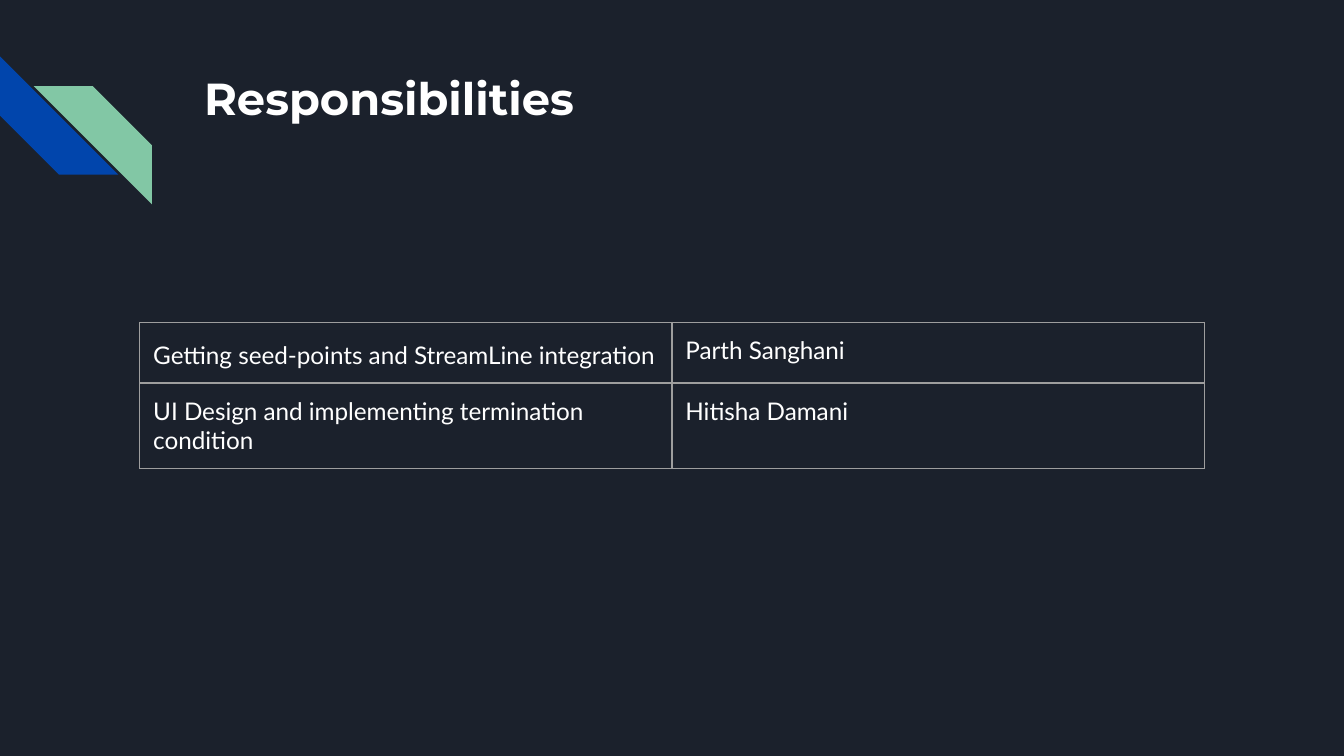
import pptx
import pptx.dml.color
import pptx.enum.shapes
import pptx.enum.text
import pptx.oxml
import pptx.oxml.ns
import pptx.util
from pptx.util import Inches

COLORS = {
    "background": "1B212C",
    "blue": "0145AC",
    "green": "82C7A5",
    "text": "FFFFFF",
    "border": "9E9E9E",
}
DUTIES = [
    ("Getting seed-points and StreamLine integration", "Parth Sanghani"),
    ("UI Design and implementing termination condition", "Hitisha Damani"),
]


def rgb(name):
    return pptx.dml.color.RGBColor.from_string(COLORS[name])


def set_font(paragraph, family, size, bold=False):
    font = paragraph.font
    font.name = family
    font.size = pptx.util.Pt(size)
    font.bold = bold
    font.color.rgb = rgb("text")


def set_margins(holder):
    for side in ("left", "top", "right", "bottom"):
        setattr(holder, f"margin_{side}", Inches(0.1))


def add_emblem(slide, left, top):
    size = 0.88
    stripes = [(0, 0, 270, "blue"), (0.25, 0.22, 90, "green")]
    for dx, dy, rotation, color in stripes:
        stripe = slide.shapes.add_shape(
            pptx.enum.shapes.MSO_SHAPE.DIAGONAL_STRIPE,
            Inches(left + dx), Inches(top + dy), Inches(size), Inches(size))
        stripe.rotation = rotation
        stripe.shadow.inherit = False
        stripe.fill.solid()
        stripe.fill.fore_color.rgb = rgb(color)
        stripe.line.fill.background()


def add_title(slide, left, top, width, height):
    title = slide.shapes.add_textbox(
        Inches(left), Inches(top), Inches(width), Inches(height))
    frame = title.text_frame
    frame.word_wrap = True
    frame.vertical_anchor = pptx.enum.text.MSO_ANCHOR.TOP
    set_margins(frame)
    frame.text = "Responsibilities"
    set_font(frame.paragraphs[0], "Montserrat", 24, bold=True)


def add_borders(cell):
    properties = cell._tc.get_or_add_tcPr()
    for position, edge in enumerate(("lnL", "lnR", "lnT", "lnB")):
        properties.insert(position, pptx.oxml.parse_xml(
            f'<a:{edge} {pptx.oxml.ns.nsdecls("a")} w="9525"><a:solidFill>'
            f'<a:srgbClr val="{COLORS["border"]}"/></a:solidFill></a:{edge}>'))


def add_duties(slide, left, top, width, row_height):
    table = slide.shapes.add_table(
        len(DUTIES), 2, Inches(left), Inches(top),
        Inches(width), Inches(row_height * len(DUTIES))).table
    table.first_row = False
    table.horz_banding = False
    for row, duty in enumerate(DUTIES):
        for column, wording in enumerate(duty):
            cell = table.cell(row, column)
            cell.text = wording
            cell.fill.background()
            set_margins(cell)
            add_borders(cell)
            set_font(cell.text_frame.paragraphs[0], "Lato", 13)
    first_duty = table.cell(0, 0).text_frame.paragraphs[0]
    first_duty.line_spacing = 1.15
    first_duty.space_after = pptx.util.Pt(16)


def main():
    presentation = pptx.Presentation()
    presentation.slide_width = Inches(10)
    presentation.slide_height = Inches(10 * 9 / 16)
    slide = presentation.slides.add_slide(presentation.slide_layouts[6])
    slide.background.fill.solid()
    slide.background.fill.fore_color.rgb = rgb("background")
    add_emblem(slide, 0, 0.42)
    add_title(slide, 1.42, 0.43, 7.7, 1)
    add_duties(slide, 1.04, 2.4, 7.92, 0.42)
    presentation.save("out.pptx")


if __name__ == "__main__":
    main()
